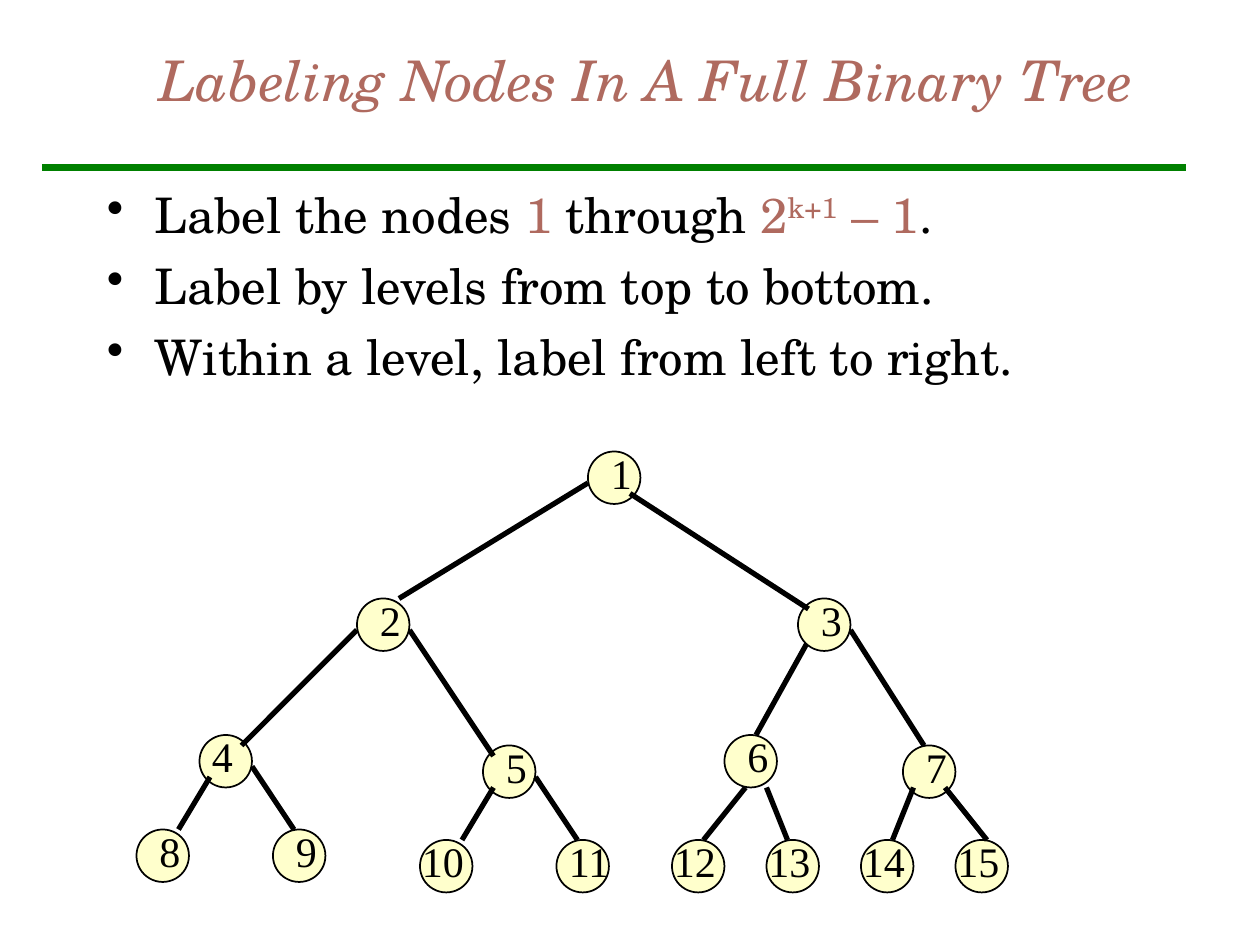
from dataclasses import dataclass

from lxml.etree import SubElement
from pptx import Presentation
from pptx.dml.color import RGBColor
from pptx.enum.shapes import MSO_CONNECTOR, MSO_SHAPE
from pptx.enum.text import MSO_ANCHOR, MSO_AUTO_SIZE
from pptx.oxml.ns import qn
from pptx.util import Inches, Pt


@dataclass(frozen=True)
class Theme:
    ink: str = "000000"
    accent: str = "AF6A5F"
    rule: str = "008000"
    node: str = "FFFFCC"
    serif: str = "TeX Gyre Schola"
    digits: str = "Times New Roman"
    title_size: int = 32
    body_size: int = 28
    label_size: int = 24


CELLS_PER_INCH = 12  # the slide is a grid of 120 columns by 90 rows
NODE_SIZE = 5

# number: (column, row) of the node's top left corner
NODES = {
    1: (56, 43), 2: (34, 57), 3: (76, 57),
    4: (19, 70), 5: (46, 71), 6: (69, 70), 7: (86, 71),
    8: (13, 79), 9: (26, 79), 10: (40, 80), 11: (53, 80),
    12: (64, 80), 13: (73, 80), 14: (82, 80), 15: (91, 80),
}
# child number: start at the parent, end at the child
BRANCHES = {
    2: ((56, 46), (38, 57)), 3: ((60, 47), (77, 58)),
    4: ((34, 60), (23, 71)), 5: ((39, 60), (47, 72)),
    6: ((77, 61), (72, 70)), 7: ((81, 60), (88, 71)),
    8: ((20, 74), (17, 79)), 9: ((24, 73), (28, 79)),
    10: ((47, 75), (44, 80)), 11: ((51, 74), (55, 80)),
    12: ((71, 75), (67, 80)), 13: ((73, 75), (75, 80)),
    14: ((87, 75), (85, 80)), 15: ((90, 75), (94, 80)),
}
LAYERS = (range(4, 8), range(1, 4), range(8, 16))  # back to front
LABEL_SHIFTS = {4: 0, 11: 0}  # labels set off the usual shift


def grid(*cells):
    return [Inches(cell / CELLS_PER_INCH) for cell in cells]


class SlideBuilder:
    def __init__(self, slide, theme):
        self.slide = slide
        self.theme = theme

    def line(self, start, end, color, width):
        line = self.slide.shapes.add_connector(
            MSO_CONNECTOR.STRAIGHT, *grid(*start, *end))
        line.line.color.rgb = RGBColor.from_string(color)
        line.line.width = Pt(width)
        SubElement(line._element.spPr, qn("a:effectLst"))

    def node(self, column, row):
        node = self.slide.shapes.add_shape(
            MSO_SHAPE.OVAL, *grid(column, row, NODE_SIZE, NODE_SIZE))
        node.shadow.inherit = False
        node.fill.solid()
        node.fill.fore_color.rgb = RGBColor.from_string(self.theme.node)
        node.line.color.rgb = RGBColor.from_string(self.theme.ink)
        node.line.width = Pt(1)

    def text(self, area, paragraphs, font, color, space=0, bullet=None, **frame_format):
        """Each paragraph is a list of (text, changes to the font)."""
        frame = self.slide.shapes.add_textbox(*grid(*area)).text_frame
        for name, value in {"word_wrap": True, **frame_format}.items():
            setattr(frame, name, value)
        for index, spans in enumerate(paragraphs):
            para = frame.paragraphs[0] if index == 0 else frame.add_paragraph()
            para.space_before = Pt(space)
            if bullet:
                self.bullet(para, bullet)
            for words, changes in spans:
                self.span(para, words, font, {"color": color, **changes})

    def span(self, para, words, font, changes):
        span = para.add_run()
        span.text = words
        for name, value in font.items():
            setattr(span.font, name, value)
        span.font.color.rgb = RGBColor.from_string(changes["color"])
        if "baseline" in changes:
            span._r.get_or_add_rPr().set("baseline", str(changes["baseline"]))

    def bullet(self, para, mark):
        properties = para._p.get_or_add_pPr()
        indent = Inches(0.38)
        properties.set("marL", str(indent))
        properties.set("indent", str(-indent))
        color = SubElement(properties, qn("a:buClr"))
        SubElement(color, qn("a:srgbClr"), val=self.theme.ink)
        SubElement(properties, qn("a:buChar"), char=mark)


def main():
    theme = Theme()
    deck = Presentation()
    deck.slide_width, deck.slide_height = grid(120, 90)
    page = SlideBuilder(deck.slides.add_slide(deck.slide_layouts[6]), theme)

    # Heading and rule
    page.line((4, 16), (113, 16), theme.rule, 4)
    page.text(
        (14, 0, 112, 15), [[("Labeling Nodes In A Full Binary Tree", {})]],
        {"name": theme.serif, "size": Pt(theme.title_size), "italic": True},
        theme.accent, vertical_anchor=MSO_ANCHOR.MIDDLE)

    # Labeling rules
    accent = {"color": theme.accent}
    page.text(
        (9, 17, 102, 24),
        [
            [("Label the nodes ", {}), ("1", accent), (" through ", {}),
             ("2", accent), ("k+1", {**accent, "baseline": 30000}),
             (" – 1", accent), (".", {})],
            [("Label by levels from top to bottom.", {})],
            [("Within a level, label from left to right.", {})],
        ],
        {"name": theme.serif, "size": Pt(theme.body_size)},
        theme.ink, space=7, bullet="•")

    # Tree nodes and the branches that lead to them
    for layer in LAYERS:
        for number in layer:
            page.node(*NODES[number])
        for number in layer:
            if number in BRANCHES:
                page.line(*BRANCHES[number], theme.ink, 3)

    # Node numbers
    for number, (column, row) in NODES.items():
        label = str(number)
        shift = LABEL_SHIFTS.get(number, 1 if len(label) == 1 else -1)
        page.text(
            (column + shift, row - 1, 4 * len(label), 6), [[(label, {})]],
            {"name": theme.digits, "size": Pt(theme.label_size)},
            theme.ink, space=15, auto_size=MSO_AUTO_SIZE.SHAPE_TO_FIT_TEXT)

    deck.save("out.pptx")


if __name__ == "__main__":
    main()
